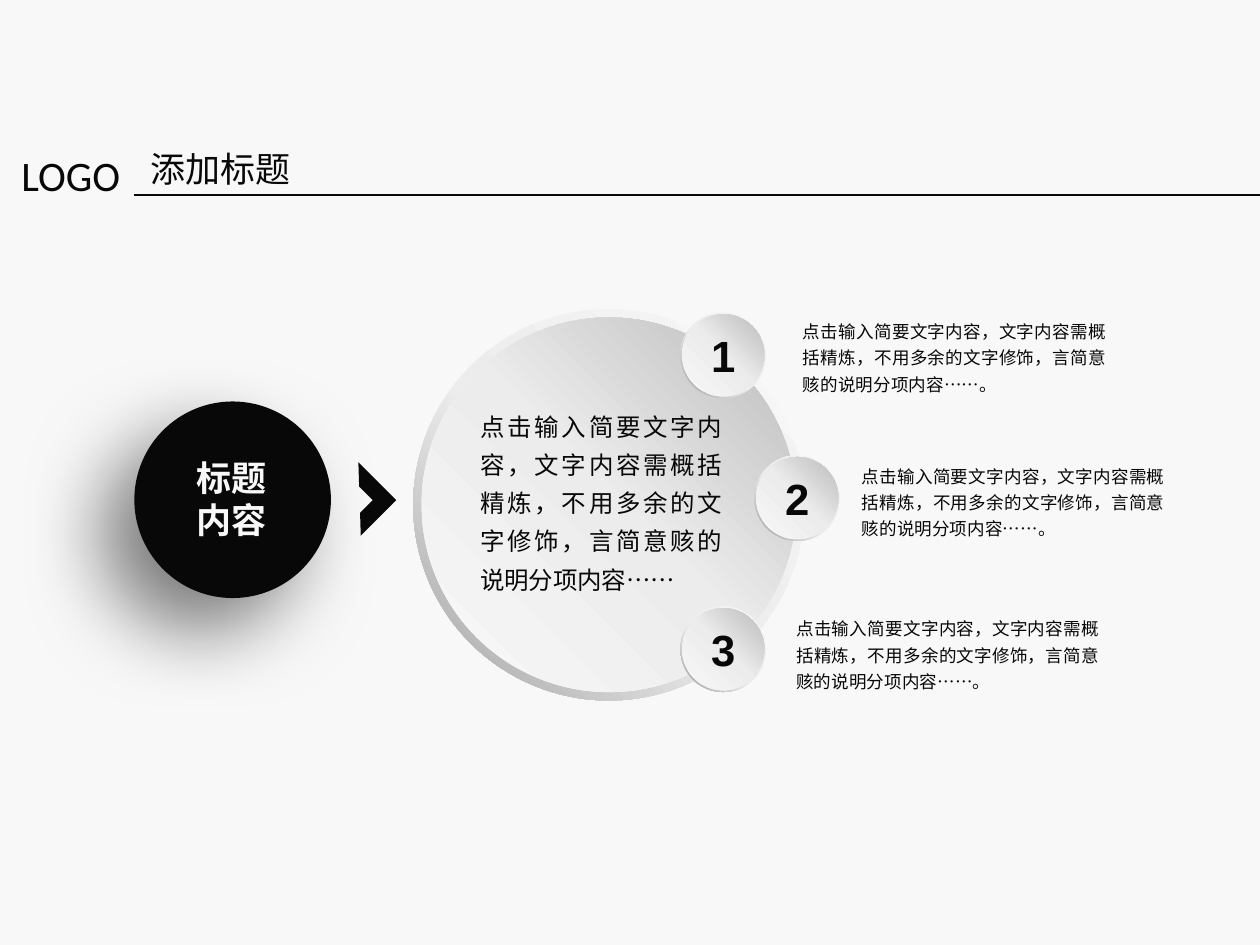
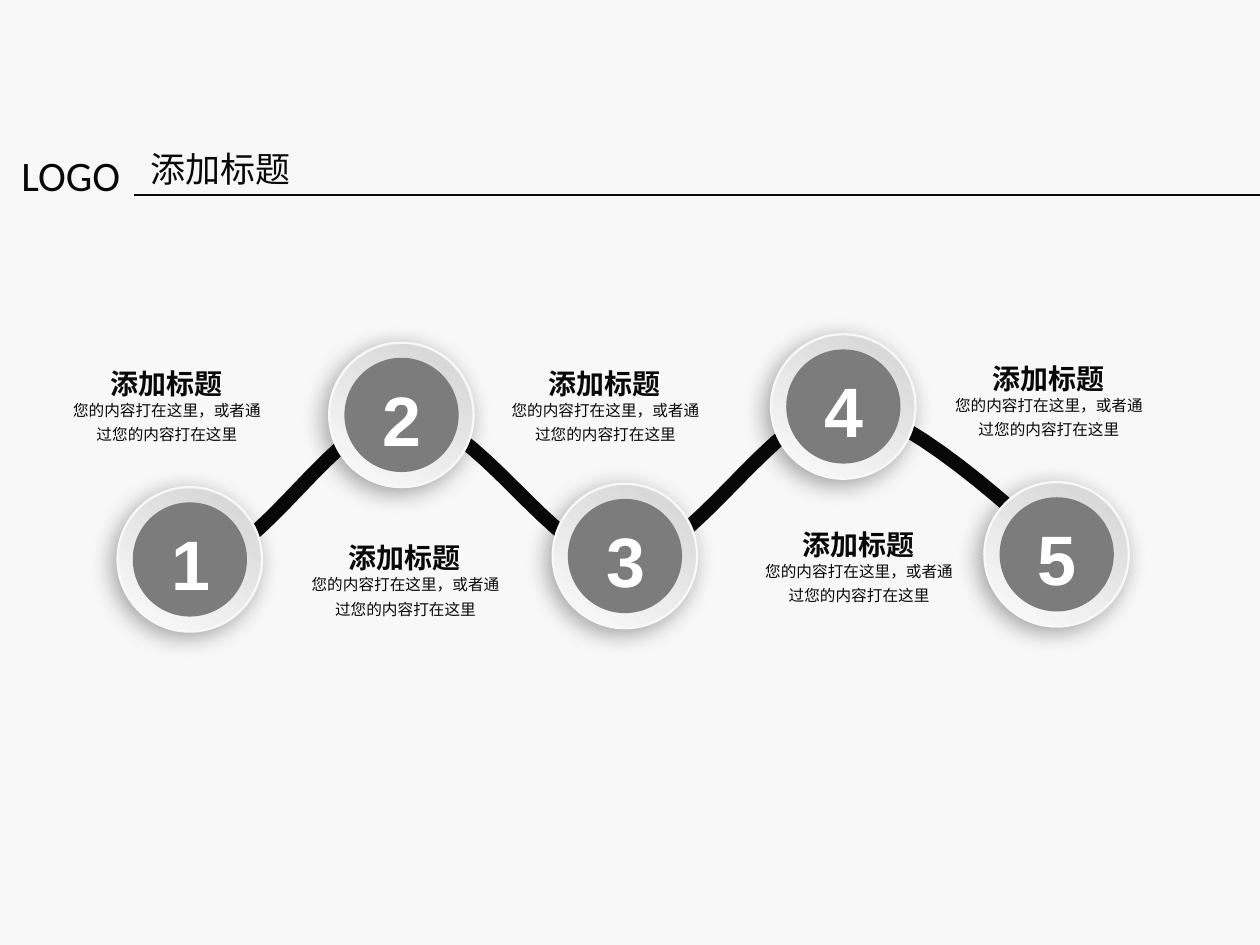
"""Builds two slides: a circle with three numbered points and a five-step path."""
from lxml import etree
from pptx import Presentation
from pptx.dml.color import RGBColor
from pptx.enum.shapes import MSO_CONNECTOR, MSO_SHAPE
from pptx.enum.text import MSO_ANCHOR, MSO_AUTO_SIZE, PP_ALIGN
from pptx.oxml.ns import qn
from pptx.util import Inches, Pt

COLORS = {
    "paper": "F8F8F8",
    "ink": "080808",
    "white": "FFFFFF",
    "disc": "7C7C7C",
    "shadow": "000000",
}
RIM = ([(0, "F8F8F8"), (55, "ECECEC"), (100, "A1A1A1")], 135)
DOME = ([(0, "F8F8F8"), (51, "ECECEC"), (100, "BABABA")], 315)
PLATE = ([(0, "D3D3D3"), (100, "FCFCFC")], 120)
CHINESE, NUMERAL, LOGO_FONT = "Noto Sans CJK SC", "Arial", "Calibri"
OVAL, DONUT, HALF_FRAME = MSO_SHAPE.OVAL, MSO_SHAPE.DONUT, MSO_SHAPE.HALF_FRAME
LEFT, CENTER, JUSTIFY = PP_ALIGN.LEFT, PP_ALIGN.CENTER, PP_ALIGN.JUSTIFY
MIDDLE, GROW, STRAIGHT = MSO_ANCHOR.MIDDLE, MSO_AUTO_SIZE.SHAPE_TO_FIT_TEXT, MSO_CONNECTOR.STRAIGHT
SUMMARY = "点击输入简要文字内容，文字内容需概括精炼，不用多余的文字修饰，言简意赅的说明分项内容……"
STEP_TEXT = "您的内容打在这里，或者通过您的内容打在这里"
HEADING = "添加标题"


def write_text(shape, text, size, font=CHINESE, color="ink", bold=False, align=LEFT,
               spacing=None, insets=(0.1, 0.05), wrap=True, grow=True):
    frame = shape.text_frame
    frame.word_wrap = wrap
    if grow:
        frame.auto_size = GROW
    frame.margin_left = frame.margin_right = Inches(insets[0])
    frame.margin_top = frame.margin_bottom = Inches(insets[1])
    frame.text = text
    for paragraph in frame.paragraphs:
        paragraph.alignment = align
        paragraph.line_spacing = spacing
        for run in paragraph.runs:
            run.font.size = Pt(size)
            run.font.bold = bold
            run.font.color.rgb = RGBColor.from_string(COLORS[color])
            run.font.name = font
            etree.SubElement(run.font._element, qn("a:ea"), typeface=font)


def add_figure(shapes, kind, box, color=None, gradient=None, shadow=None):
    shape = shapes.add_shape(kind, *map(Inches, box))
    shape.line.fill.background()
    shape.shadow.inherit = False
    if gradient:
        stops, angle = gradient
        shape.fill.gradient()
        shape.fill.gradient_angle = 360 - angle
        stop_list = shape._element.spPr.find(".//" + qn("a:gsLst"))
        for stop in list(stop_list):
            stop_list.remove(stop)
        for position, stop_color in stops:
            stop = etree.SubElement(stop_list, qn("a:gs"), pos=str(position * 1000))
            etree.SubElement(stop, qn("a:srgbClr"), val=stop_color)
    else:
        shape.fill.solid()
        shape.fill.fore_color.rgb = RGBColor.from_string(COLORS[color])
    if shadow:
        opacity, blur, distance, direction = shadow
        effects = shape._element.spPr.find(qn("a:effectLst"))
        outer = etree.SubElement(effects, qn("a:outerShdw"), blurRad=str(Pt(blur)),
                                 dist=str(Pt(distance)), dir=str(direction * 60000),
                                 algn="ctr", rotWithShape="0")
        shade = etree.SubElement(outer, qn("a:srgbClr"), val=COLORS["shadow"])
        etree.SubElement(shade, qn("a:alpha"), val=str(opacity * 1000))
    return shape


presentation = Presentation()
presentation.slide_width = Inches(7.5)
presentation.slide_height = presentation.slide_width * 3 // 4
background = presentation.slide_master.background.fill
background.solid()
background.fore_color.rgb = RGBColor.from_string(COLORS["paper"])

for _ in range(2):
    slide = presentation.slides.add_slide(presentation.slide_layouts[6])
    title = slide.shapes.add_textbox(Inches(0.8), Inches(0.83), Inches(2.79), Inches(0.35))
    write_text(title, HEADING, 15)
    rule = slide.shapes.add_connector(STRAIGHT, Inches(0.8), Inches(1.16), Inches(7.5), Inches(1.16))
    rule.line.color.rgb = RGBColor.from_string(COLORS["ink"])
    rule.line.width = Pt(0.75)
    etree.SubElement(rule._element.spPr, qn("a:effectLst"))
    logo = slide.shapes.add_textbox(Inches(0.03), Inches(0.84), Inches(0.83), Inches(0.4))
    write_text(logo, "LOGO", 18, font=LOGO_FONT)
points_slide, path_slide = presentation.slides

shapes = points_slide.shapes
add_figure(shapes, OVAL, (0.8, 2.39, 1.17, 1.17), "ink", shadow=(50, 35, 20, 135))
buttons = [
    (2.46, 1.84, 2.33, 0.05, ""),
    (4.05, 1.86, 0.51, 0.01, "1"),
    (4.49, 2.71, 0.51, 0.01, "2"),
    (4.05, 3.61, 0.51, 0.01, "3"),
]
for left, top, size, edge, number in buttons:
    button = shapes.add_group_shape().shapes
    rim = add_figure(button, DONUT, (left, top, size, size), gradient=RIM)
    rim.adjustments[0] = 0.049
    inner = size - 2 * edge
    dome = add_figure(button, OVAL, (left + edge, top + edge, inner, inner), gradient=DOME)
    if number:
        write_text(dome, number, 18.75, font=NUMERAL, bold=True, align=CENTER, grow=False)
        dome.text_frame.vertical_anchor = MIDDLE

topic = shapes.add_textbox(Inches(1.17), Inches(2.72), Inches(0.42), Inches(0.5))
write_text(topic, "标题\n内容", 15, color="paper", bold=True, align=CENTER, insets=(0, 0), wrap=False)
for left, top in [(4.78, 1.88), (5.13, 2.74), (4.74, 3.65)]:
    detail = shapes.add_textbox(Inches(left), Inches(top), Inches(1.8), Inches(0.46))
    write_text(detail, SUMMARY + "。", 7.5, align=JUSTIFY, spacing=Pt(11.25), insets=(0, 0))
summary = shapes.add_textbox(Inches(2.86), Inches(2.4), Inches(1.44), Inches(1.15))
write_text(summary, SUMMARY, 10.5, align=JUSTIFY, spacing=1.3, insets=(0, 0))
arrow = add_figure(shapes, HALF_FRAME, (1.99, 2.81, 0.3, 0.32), "ink")
arrow.rotation = 135

shapes = path_slide.shapes
curves = [
    [(1.17, 3.34), (1.56, 3.35), (1.99, 2.47), (2.41, 2.47)],
    [(2.41, 2.47), (2.83, 2.47), (3.3, 3.34), (3.7, 3.35)],
    [(3.7, 3.35), (4.13, 3.33), (4.6, 2.43), (5.02, 2.42)],
    [(5.02, 2.42), (5.43, 2.42), (6.31, 3.3), (6.31, 3.29)],
]
samples = 16
vertices = []
for curve in curves:
    for step in range(1, samples + 1):
        t = step / samples
        weights = ((1 - t) ** 3, 3 * t * (1 - t) ** 2, 3 * t * t * (1 - t), t ** 3)
        vertices.append([Inches(sum(weight * point[axis] for weight, point in zip(weights, curve)))
                         for axis in (0, 1)])
start_x, start_y = curves[0][0]
builder = shapes.build_freeform(Inches(start_x), Inches(start_y))
builder.add_line_segments(vertices, close=False)
wave = builder.convert_to_shape()
wave.fill.background()
wave.line.color.rgb = RGBColor.from_string(COLORS["ink"])
wave.line.width = Pt(6)
wave.shadow.inherit = False

nodes = [(0.7, 2.9), (1.96, 2.04), (3.29, 2.88), (4.59, 1.99), (5.86, 2.87)]
for number, (left, top) in enumerate(nodes, 1):
    node = shapes.add_group_shape().shapes
    plate = add_figure(node, OVAL, (left, top, 0.86, 0.86), gradient=PLATE, shadow=(34, 10, 3, 136))
    plate.line.color.rgb = RGBColor.from_string(COLORS["paper"])
    plate.line.width = Pt(1)
    add_figure(node, OVAL, (left + 0.09, top + 0.09, 0.68, 0.68), "disc")
    label = node.add_textbox(Inches(left + 0.22), Inches(top + 0.15), Inches(0.41), Inches(0.61))
    write_text(label, str(number), 30, font=NUMERAL, color="white", bold=True, align=CENTER, wrap=False)

captions = [(0.36, 2.31), (1.78, 3.35), (2.97, 2.31), (4.48, 3.27), (5.61, 2.28)]
for left, top in captions:
    body = shapes.add_textbox(Inches(left), Inches(top), Inches(1.27), Inches(0.37))
    write_text(body, STEP_TEXT, 6.75, align=CENTER, spacing=1.3, insets=(0.06, 0.04))
    heading = shapes.add_textbox(Inches(left + 0.08), Inches(top - 0.23), Inches(1.1), Inches(0.3))
    write_text(heading, HEADING, 12, bold=True, align=CENTER, spacing=1.5, insets=(0.07, 0))

presentation.save("out.pptx")
